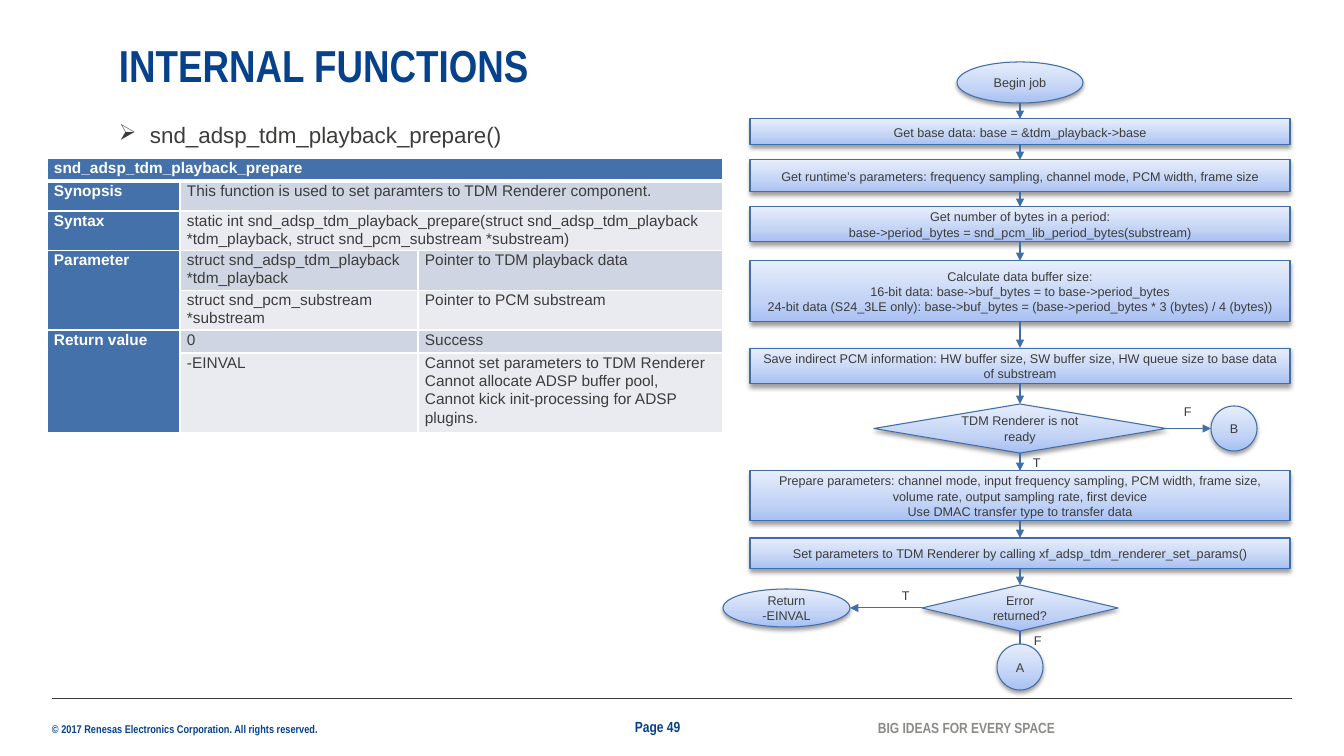
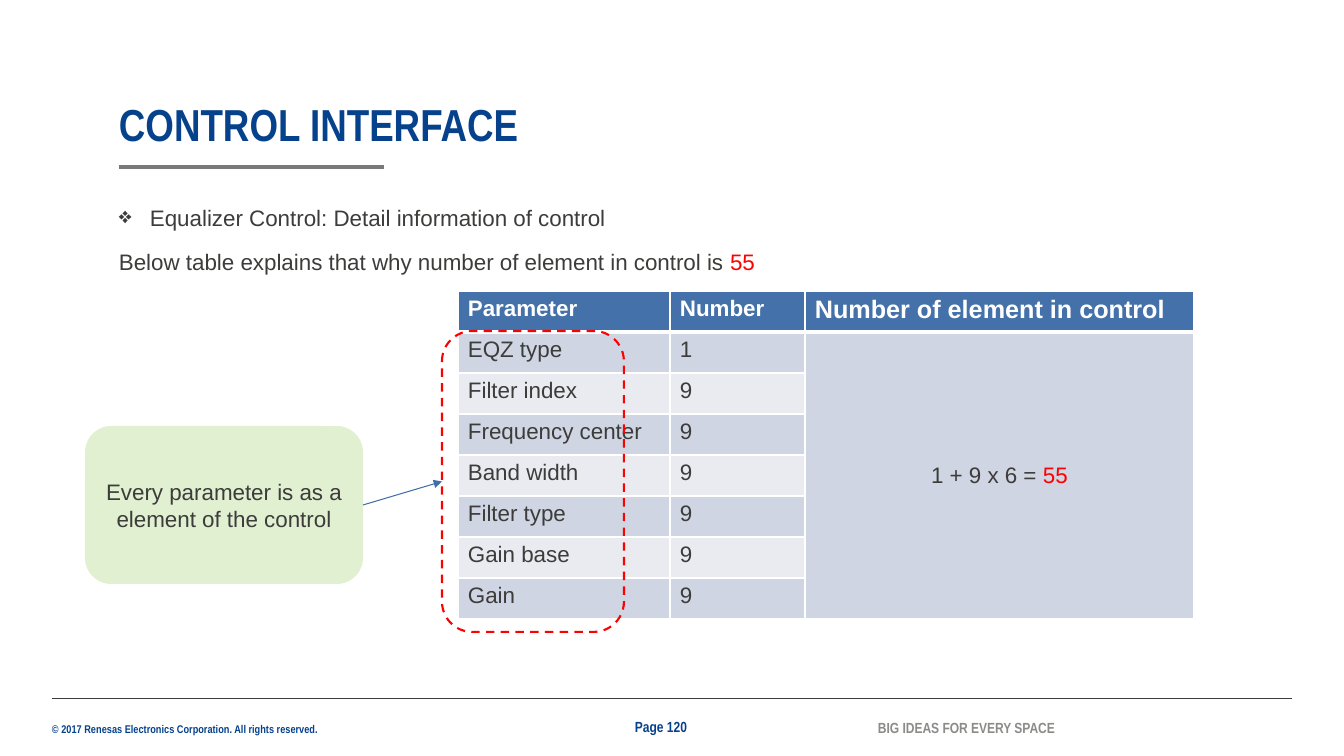
import lxml.etree
import copy
import pptx
import pptx.dml.color
import pptx.enum.dml
import pptx.enum.shapes
import pptx.enum.text
import pptx.oxml.ns
import pptx.util

PX = 9071
NAVY = pptx.dml.color.RGBColor(0x06, 0x41, 0x8C)
INK = pptx.dml.color.RGBColor(0x3C, 0x3C, 0x3B)
RULE_GRAY = pptx.dml.color.RGBColor(0x79, 0x79, 0x79)
SLOGAN_GRAY = pptx.dml.color.RGBColor(0x8B, 0x8B, 0x89)
WHITE = pptx.dml.color.RGBColor(0xFF, 0xFF, 0xFF)
RED = pptx.dml.color.RGBColor(0xFF, 0x00, 0x00)
OUTLINE_BLUE = pptx.dml.color.RGBColor(0x40, 0x6E, 0xA8)
HEADER_BLUE = pptx.dml.color.RGBColor(0x44, 0x71, 0xA9)
BAND_DARK = pptx.dml.color.RGBColor(0xCF, 0xD5, 0xE2)
BAND_LIGHT = pptx.dml.color.RGBColor(0xE9, 0xEB, 0xF1)
CALLOUT_GREEN = pptx.dml.color.RGBColor(0xE0, 0xF0, 0xD1)
NODE_GRADIENT = [
    (0, pptx.dml.color.RGBColor(0xA7, 0xC0, 0xF3)),
    (0.35, pptx.dml.color.RGBColor(0xC2, 0xD3, 0xF5)),
    (1, pptx.dml.color.RGBColor(0xE7, 0xEE, 0xFC)),
]
BODY_FONT = "Arial"
HEADING_FONT = "Arial Narrow"
TOP, LEFT, BOTTOM, RIGHT = range(4)
SIDES = {TOP: (0.5, 0), LEFT: (0, 0.5), BOTTOM: (0.5, 1), RIGHT: (1, 0.5)}

qn = pptx.oxml.ns.qn
Pt = pptx.util.Pt
Kind = pptx.enum.shapes.MSO_SHAPE
Align = pptx.enum.text.PP_ALIGN
Anchor = pptx.enum.text.MSO_ANCHOR


def write(frame, text, size, color=INK, bold=False, font=BODY_FONT,
          align=Align.LEFT, spacing=None, after=None, highlight=None):
    frame.word_wrap = True
    for index, line in enumerate(text.split("\n")):
        paragraph = frame.add_paragraph() if index else frame.paragraphs[0]
        paragraph.alignment = align
        paragraph.line_spacing = spacing
        paragraph.space_after = after
        for part in line.partition(highlight) if highlight else [line]:
            if part:
                run = paragraph.add_run()
                run.text = part
                run.font.size = Pt(size)
                run.font.name = font
                run.font.bold = bold
                run.font.color.rgb = RED if part == highlight else color


def add_line(slide, start, end, color, weight, head=False):
    line = slide.shapes.add_connector(pptx.enum.shapes.MSO_CONNECTOR.STRAIGHT, *start, *end)
    line.line.color.rgb = color
    line.line.width = Pt(weight)
    properties = line._element.spPr
    if head:
        lxml.etree.SubElement(properties.find(qn("a:ln")), qn("a:tailEnd"), type="triangle")
    lxml.etree.SubElement(properties, qn("a:effectLst"))
    return line


presentation = pptx.Presentation()
presentation.slide_width = 1344 * PX
presentation.slide_height = 756 * PX
blank_layout = presentation.slide_layouts[6]

pages = [
    ("INTERNAL FUNCTIONS", 44, "Page 49", "➢", 116, 32, "snd_adsp_tdm_playback_prepare()"),
    ("CONTROL INTERFACE", 103, "Page 120", "❖", 199, 77,
     "Equalizer Control: Detail information of control\n"
     "Below table explains that why number of element in control is 55"),
]
for title, title_top, page_label, bullet, body_top, body_height, body in pages:
    slide = presentation.slides.add_slide(blank_layout)
    add_line(slide, (52 * PX, 698 * PX), (1292 * PX, 698 * PX), INK, 0.5)
    headings = [
        (119, title_top, 992, 48, title, 32, NAVY, Anchor.BOTTOM, 0.9),
        (52, 722, 300, 13, "© 2017 Renesas Electronics Corporation. All rights reserved.",
         8, NAVY, Anchor.TOP, None),
        (635, 718, 74, 18, page_label, 10.5, NAVY, Anchor.MIDDLE, None),
        (878, 719, 200, 18, "BIG IDEAS FOR EVERY SPACE", 10.5, SLOGAN_GRAY, Anchor.MIDDLE, None),
    ]
    for left, top, width, height, text, size, color, anchor, spacing in headings:
        frame = slide.shapes.add_textbox(left * PX, top * PX, width * PX, height * PX).text_frame
        frame.margin_left = frame.margin_right = frame.margin_top = frame.margin_bottom = 0
        frame.vertical_anchor = anchor
        write(frame, text, size, color, True, HEADING_FONT, spacing=spacing)

    frame = slide.shapes.add_textbox(119 * PX, body_top * PX, 992 * PX, body_height * PX).text_frame
    frame.margin_left = frame.margin_right = frame.margin_top = frame.margin_bottom = 0
    write(frame, body, 16, spacing=1.2, after=Pt(8), highlight="55")
    bullet_properties = frame.paragraphs[0]._p.get_or_add_pPr()
    bullet_properties.set("marL", str(31 * PX))
    bullet_properties.set("indent", str(-31 * PX))
    lxml.etree.SubElement(bullet_properties, qn("a:buChar"), char=bullet)

functions_slide, control_slide = presentation.slides
add_line(control_slide, (119 * PX, 167 * PX), (384 * PX, 167 * PX), RULE_GRAY, 3)

nodes = {}
node_rows = [
    ("begin", Kind.OVAL, 957, 62, 126, 41, "Begin job"),
    ("base", Kind.RECTANGLE, 750, 119, 540, 26, "Get base data: base = &tdm_playback->base"),
    ("runtime", Kind.RECTANGLE, 750, 160, 540, 32,
     "Get runtime’s parameters: frequency sampling, channel mode, PCM width, frame size"),
    ("period", Kind.RECTANGLE, 750, 207, 540, 35,
     "Get number of bytes in a period:\nbase->period_bytes = snd_pcm_lib_period_bytes(substream)"),
    ("buffer", Kind.RECTANGLE, 750, 261, 540, 61,
     "Calculate data buffer size:\n16-bit data: base->buf_bytes = to base->period_bytes\n"
     "24-bit data (S24_3LE only): base->buf_bytes = (base->period_bytes * 3 (bytes) / 4 (bytes))"),
    ("save", Kind.RECTANGLE, 750, 348, 540, 36,
     "Save indirect PCM information: HW buffer size, SW buffer size, "
     "HW queue size to base data of substream"),
    ("ready", Kind.FLOWCHART_DECISION, 874, 404, 292, 49, "TDM Renderer is not ready"),
    ("prepare", Kind.RECTANGLE, 750, 471, 540, 50,
     "Prepare parameters: channel mode, input frequency sampling, PCM width, frame size, "
     "volume rate, output sampling rate, first device\nUse DMAC transfer type to transfer data"),
    ("set", Kind.RECTANGLE, 750, 538, 540, 31,
     "Set parameters to TDM Renderer by calling xf_adsp_tdm_renderer_set_params()"),
    ("error", Kind.FLOWCHART_DECISION, 922, 585, 196, 46, "Error returned?"),
    ("A", Kind.OVAL, 997, 644, 46, 46, "A"),
    ("B", Kind.OVAL, 1211, 406, 46, 45, "B"),
    ("return", Kind.OVAL, 723, 589, 127, 38, "Return\n-EINVAL"),
]
for name, kind, left, top, width, height, text in node_rows:
    node = functions_slide.shapes.add_shape(kind, left * PX, top * PX, width * PX, height * PX)
    node.fill.gradient()
    node.fill.gradient_angle = 90
    stops = node._element.spPr.find(".//" + qn("a:gsLst"))
    stops.insert(1, copy.deepcopy(stops[0]))
    for stop, (position, color) in zip(node.fill.gradient_stops, NODE_GRADIENT):
        stop.position = position
        stop.color.rgb = color
    node.line.color.rgb = OUTLINE_BLUE
    node.line.width = Pt(0.75)
    node.shadow.inherit = False
    shadow = lxml.etree.SubElement(
        node._element.spPr.find(qn("a:effectLst")), qn("a:outerShdw"),
        blurRad="40000", dist="20000", dir="5400000", rotWithShape="0")
    shadow_color = lxml.etree.SubElement(shadow, qn("a:srgbClr"), val="000000")
    lxml.etree.SubElement(shadow_color, qn("a:alpha"), val="38000")
    write(node.text_frame, text, 9, align=Align.CENTER)
    nodes[name] = node

main_flow = [row[0] for row in node_rows[:11]]
links = [(start, BOTTOM, end, TOP) for start, end in zip(main_flow, main_flow[1:])]
links += [("ready", RIGHT, "B", LEFT), ("error", LEFT, "return", RIGHT)]
for start, start_side, end, end_side in links:
    points = []
    for node, side in ((nodes[start], start_side), (nodes[end], end_side)):
        across, down = SIDES[side]
        points.append((node.left + int(node.width * across), node.top + int(node.height * down)))
    link = add_line(functions_slide, *points, OUTLINE_BLUE, 0.75, head=end != "A")
    if nodes[start].auto_shape_type != Kind.OVAL:
        link.begin_connect(nodes[start], start_side)
    if nodes[end].auto_shape_type != Kind.OVAL:
        link.end_connect(nodes[end], end_side)

for left, top, text in [(1023, 450, "T"), (892, 583, "T"), (1024, 628, "F"), (1174, 399, "F")]:
    label = functions_slide.shapes.add_textbox(left * PX, top * PX, 32 * PX, 25 * PX)
    write(label.text_frame, text, 9)

function_cells = [
    ["snd_adsp_tdm_playback_prepare", "", ""],
    ["Synopsis", "This function is used to set paramters to TDM Renderer component.", ""],
    ["Syntax", "static int snd_adsp_tdm_playback_prepare(struct snd_adsp_tdm_playback "
     "*tdm_playback, struct snd_pcm_substream *substream)", ""],
    ["Parameter", "struct snd_adsp_tdm_playback *tdm_playback", "Pointer to TDM playback data"],
    ["", "struct snd_pcm_substream *substream", "Pointer to PCM substream"],
    ["Return value", "0", "Success"],
    ["", "-EINVAL", "Cannot set parameters to TDM Renderer\nCannot allocate ADSP buffer pool,\n"
     "Cannot kick init-processing for ADSP plugins."],
]
control_cells = [
    ["Parameter", "Number", "Number of element in control"],
    ["EQZ type", "1", "1 + 9 x 6 = 55"],
]
for parameter in ["Filter index", "Frequency center", "Band width", "Filter type", "Gain base", "Gain"]:
    control_cells.append([parameter, "9", ""])

tables = [
    (functions_slide, 47, 158, [133, 238, 305], [23, 30, 39, 40, 39, 23, 79], function_cells,
     [(0, 0, 0, 2), (1, 1, 1, 2), (2, 1, 2, 2), (3, 0, 4, 0), (5, 0, 6, 0)], True, 11, 1.07, 7, 0),
    (control_slide, 458, 291, [212, 135, 389], [41] * 8, control_cells,
     [(1, 2, 7, 2)], False, 16, None, 10, 5),
]
for (slide, left, top, widths, heights, cells, merges, header_column,
     size, spacing, side_margin, edge_margin) in tables:
    table = slide.shapes.add_table(len(heights), len(widths), left * PX, top * PX,
                                   sum(widths) * PX, sum(heights) * PX).table
    table.first_col = header_column
    for column, width in zip(table.columns, widths):
        column.width = width * PX
    for row, height in zip(table.rows, heights):
        row.height = height * PX
    for first_row, first_column, last_row, last_column in merges:
        table.cell(first_row, first_column).merge(table.cell(last_row, last_column))
    for row_index, texts in enumerate(cells):
        for column_index, text in enumerate(texts):
            cell = table.cell(row_index, column_index)
            cell.margin_left = cell.margin_right = side_margin * PX
            cell.margin_top = cell.margin_bottom = edge_margin * PX
            cell_properties = cell._tc.get_or_add_tcPr()
            for edge in ("lnL", "lnR", "lnT", "lnB"):
                heavy = (row_index, edge) in ((0, "lnB"), (1, "lnT"))
                border = lxml.etree.SubElement(cell_properties, qn("a:" + edge),
                                               w=str(Pt(3 if heavy else 1)))
                border_fill = lxml.etree.SubElement(border, qn("a:solidFill"))
                lxml.etree.SubElement(border_fill, qn("a:srgbClr"), val=str(WHITE))
            is_header = row_index == 0 or (header_column and column_index == 0)
            band = BAND_DARK if row_index % 2 else BAND_LIGHT
            cell.fill.solid()
            cell.fill.fore_color.rgb = HEADER_BLUE if is_header else band
            if text:
                write(cell.text_frame, text, size, WHITE if is_header else INK, is_header,
                      spacing=spacing, highlight="55")

control_table = table
control_table.cell(0, 2).text_frame.paragraphs[0].runs[0].font.size = Pt(18)
total_cell = control_table.cell(1, 2)
total_cell.vertical_anchor = Anchor.MIDDLE
total_cell.text_frame.paragraphs[0].alignment = Align.CENTER

parameter_frame = control_slide.shapes.add_shape(
    Kind.ROUNDED_RECTANGLE, 442 * PX, 331 * PX, 182 * PX, 301 * PX)
parameter_frame.shadow.inherit = False
parameter_frame.fill.background()
parameter_frame.line.color.rgb = RED
parameter_frame.line.width = Pt(1.5)
parameter_frame.line.dash_style = pptx.enum.dml.MSO_LINE.DASH

callout = control_slide.shapes.add_shape(
    Kind.ROUNDED_RECTANGLE, 85 * PX, 426 * PX, 278 * PX, 158 * PX)
callout.shadow.inherit = False
callout.fill.solid()
callout.fill.fore_color.rgb = CALLOUT_GREEN
callout.line.fill.background()
write(callout.text_frame, "Every parameter is as a element of the control", 16, align=Align.CENTER)

callout_arrow = add_line(control_slide, (363 * PX, 505 * PX), (442 * PX, 481 * PX),
                         OUTLINE_BLUE, 0.75, head=True)
callout_arrow.begin_connect(callout, RIGHT)
callout_arrow.end_connect(parameter_frame, LEFT)

presentation.save("out.pptx")
